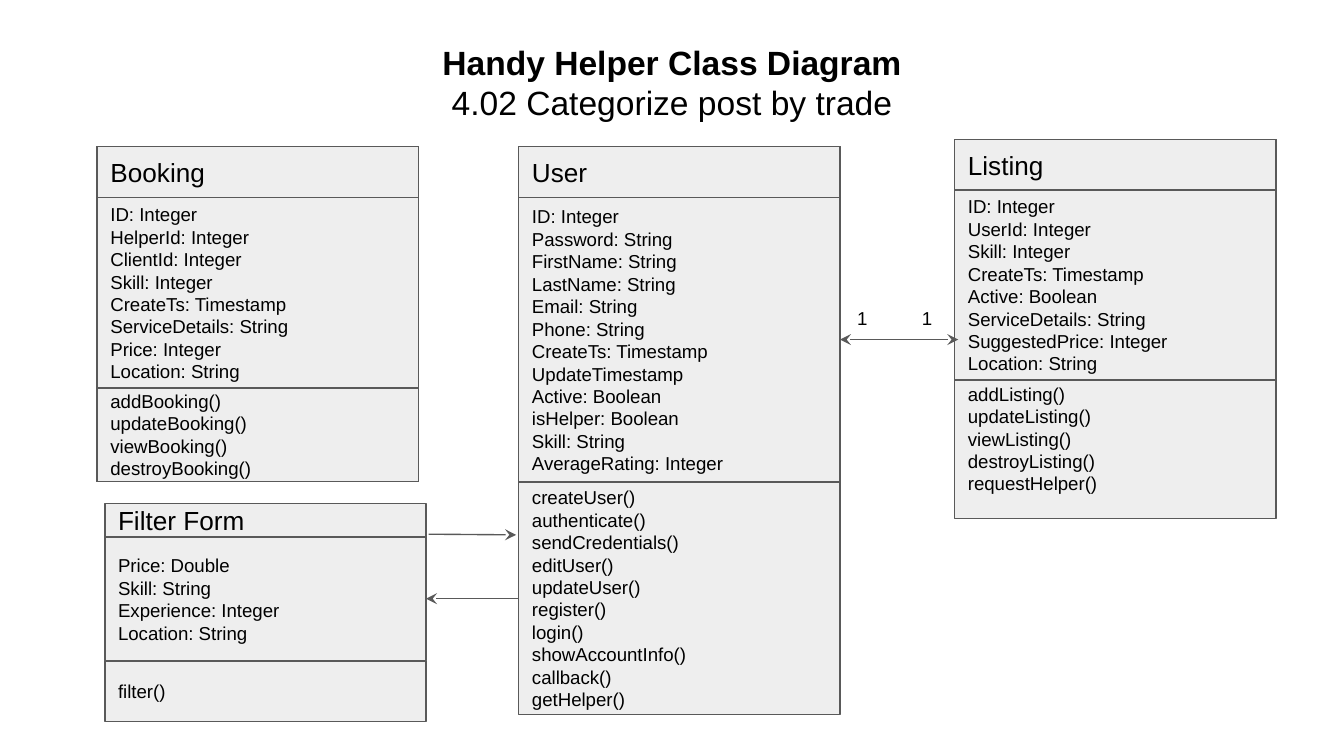
from dataclasses import dataclass

from lxml.etree import SubElement
from pptx import Presentation
from pptx.dml.color import RGBColor
from pptx.enum.shapes import MSO_CONNECTOR, MSO_SHAPE
from pptx.enum.text import MSO_ANCHOR, PP_ALIGN
from pptx.oxml.ns import qn
from pptx.util import Inches, Pt


@dataclass(frozen=True)
class Theme:
    font: str = "Arial"
    fill: RGBColor = RGBColor(0xEE, 0xEE, 0xEE)
    line: RGBColor = RGBColor(0x59, 0x59, 0x59)
    text: RGBColor = RGBColor(0, 0, 0)
    title_size: int = 18
    name_size: int = 14
    body_size: int = 10
    line_width: float = 0.75


THEME = Theme()
CELL = 0.1
CLASS_WIDTH = 23.9
INSET = 1

CLASSES = [
    (7.23, 10.92, 24.9, [
        (3.8, 0, ["Booking"]),
        (14.15, 0, ["ID: Integer\vHelperId: Integer",
                    "ClientId: Integer\vSkill: Integer\vCreateTs: Timestamp",
                    "ServiceDetails: String", "Price: Integer",
                    "Location: String"]),
        (6.95, 0, ["addBooking()", "updateBooking()", "viewBooking()",
                   "destroyBooking()"]),
    ]),
    (38.6, 10.92, 38.5, [
        (3.8, 0, ["User"]),
        (21.15, 0, ["ID: Integer\vPassword: String", "FirstName: String",
                    "LastName: String", "Email: String", "Phone: String",
                    "CreateTs: Timestamp", "UpdateTimestamp",
                    "Active: Boolean", "isHelper: Boolean", "Skill: String",
                    "AverageRating: Integer"]),
        (17.3, 0, ["createUser()", "authenticate()", "sendCredentials()",
                   "editUser()", "updateUser()", "register()", "login()",
                   "showAccountInfo()", "callback()", "getHelper()"]),
    ]),
    (71.03, 10.4, 25.4, [
        (3.75, 0, ["Listing"]),
        (14.12, 0, ["ID: Integer\vUserId: Integer", "Skill: Integer",
                    "CreateTs: Timestamp", "Active: Boolean",
                    "ServiceDetails: String", "SuggestedPrice: Integer",
                    "Location: String"]),
        (10.33, 1.6, ["addListing()", "updateListing()", "viewListing()",
                      "destroyListing()", "requestHelper()"]),
    ]),
    (7.8, 37.45, 0, [
        (2.52, 0, ["Filter Form"]),
        (9.2, 0, ["Price: Double", "Skill: String",
                  "Experience: Integer\vLocation: String"]),
        (4.53, 0, ["filter()"]),
    ]),
]

ARROWS = [
    ((38.6, 44.55), (31.7, 44.55), ["tailEnd"]),
    ((31.9, 39.75), (38.4, 39.8), ["tailEnd"]),
    ((62.5, 25.27), (71.3, 25.27), ["headEnd", "tailEnd"]),
]

MULTIPLICITIES = [(62.8, 22), (67.6, 22)]


def grid(*cells):
    return [Inches(c * CELL) for c in cells]


def write(shape, lines, size, anchor, align=PP_ALIGN.LEFT, slack=0):
    tf = shape.text_frame
    tf.word_wrap = True
    tf.vertical_anchor = anchor
    tf.margin_left, tf.margin_top, tf.margin_right, tf.margin_bottom = grid(
        INSET, INSET, INSET, INSET + slack)
    tf.text = "\n".join(lines)
    for p in tf.paragraphs:
        p.alignment = align
        p.font.name = THEME.font
        p.font.size = Pt(size)
        p.font.color.rgb = THEME.text
    return tf


def add_label(s, box, lines, size, align=PP_ALIGN.LEFT):
    sp = s.shapes.add_textbox(*grid(*box))
    return write(sp, lines, size, MSO_ANCHOR.TOP, align)


def add_title(s, box):
    tf = add_label(s, box, ["Handy Helper Class Diagram",
                            "4.02 Categorize post by trade"],
                   THEME.title_size, PP_ALIGN.CENTER)
    tf.paragraphs[0].font.bold = True
    tf.paragraphs[1].space_after = Pt(12)


def add_box(s, *box):
    sp = s.shapes.add_shape(MSO_SHAPE.RECTANGLE, *grid(*box))
    sp.shadow.inherit = False
    sp.fill.solid()
    sp.fill.fore_color.rgb = THEME.fill
    sp.line.color.rgb = THEME.line
    sp.line.width = Pt(THEME.line_width)
    return sp


def add_class(s, left, top, frame_height, sections):
    if frame_height:
        add_box(s, left, top, CLASS_WIDTH, frame_height)
    for i, (height, slack, lines) in enumerate(sections):
        sp = add_box(s, left, top, CLASS_WIDTH, height)
        size = THEME.body_size if i else THEME.name_size
        write(sp, lines, size, MSO_ANCHOR.MIDDLE, slack=slack)
        top += height


def add_arrow(s, start, end, tips):
    cxn = s.shapes.add_connector(MSO_CONNECTOR.STRAIGHT, *grid(*start, *end))
    cxn.line.color.rgb = THEME.line
    cxn.line.width = Pt(THEME.line_width)
    ln = cxn.line._get_or_add_ln()
    for tip in tips:
        SubElement(ln, qn(f"a:{tip}"), type="stealth", w="med", len="med")
    SubElement(cxn._element.spPr, qn("a:effectLst"))


def main():
    prs = Presentation()
    prs.slide_width, prs.slide_height = grid(100, 56.25)
    s = prs.slides.add_slide(prs.slide_layouts[6])
    for left, top, frame_height, sections in CLASSES:
        add_class(s, left, top, frame_height, sections)
    add_title(s, (3.4, 2.1, 93.2, 6.3))
    for start, end, tips in ARROWS:
        add_arrow(s, start, end, tips)
    for left, top in MULTIPLICITIES:
        add_label(s, (left, top, 3.2, 3.1), ["1"], THEME.body_size)
    prs.save("out.pptx")


if __name__ == "__main__":
    main()
